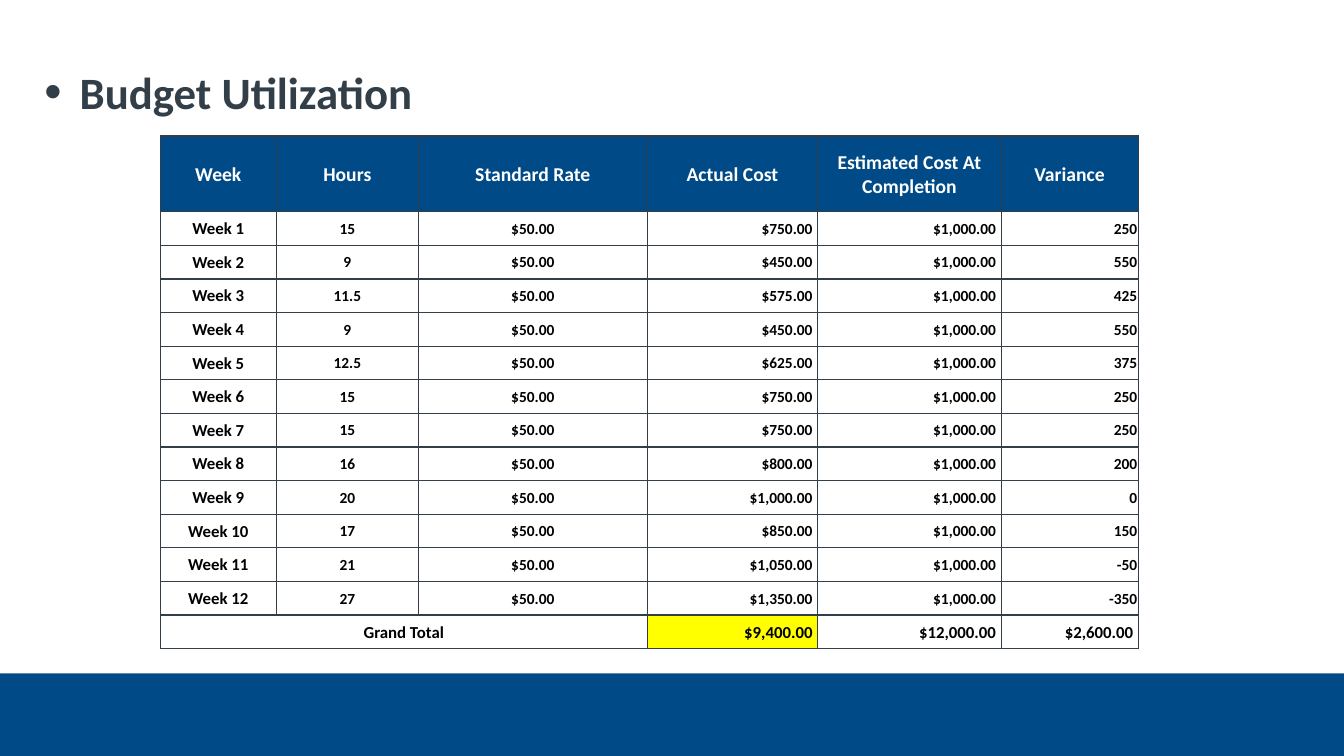
"""Build the Budget Utilization slide with its weekly cost table."""
from lxml import etree
from pptx import Presentation
from pptx.dml.color import RGBColor
from pptx.enum.shapes import MSO_SHAPE
from pptx.enum.text import MSO_ANCHOR, PP_ALIGN
from pptx.oxml.ns import qn
from pptx.util import Inches, Pt

RECT = MSO_SHAPE.RECTANGLE
MIDDLE = MSO_ANCHOR.MIDDLE
CENTER, RIGHT = PP_ALIGN.CENTER, PP_ALIGN.RIGHT
BLUE = RGBColor(0x00, 0x4B, 0x87)
SLATE = RGBColor(0x33, 0x3F, 0x48)
WHITE = RGBColor(0xFF, 0xFF, 0xFF)
BLACK = RGBColor(0x00, 0x00, 0x00)
YELLOW = RGBColor(0xFF, 0xFF, 0x00)

RATE = 50
WEEKLY_BUDGET = 1000
HOURS = [15, 9, 11.5, 9, 12.5, 15, 15, 16, 20, 17, 21, 27]
HEADERS = ["Week", "Hours", "Standard Rate", "Actual Cost",
           "Estimated Cost At Completion", "Variance"]
COL_WIDTHS = [1.15, 1.41, 2.27, 1.69, 1.82, 1.36]
TABLE_HEIGHT, HEADER_HEIGHT = 5.09, 0.75


def money(amount):
    return f"${amount:,.2f}"


def set_font(font, size, color):
    font.color.rgb = color
    for name, value in {"name": "Calibri", "size": Pt(size), "bold": True}.items():
        setattr(font, name, value)


prs = Presentation()
prs.slide_width, prs.slide_height = Inches(13.33), Inches(7.5)
s = prs.slides.add_slide(prs.slide_layouts[6])

footer = s.shapes.add_shape(RECT, 0, Inches(6.68), prs.slide_width, Inches(0.82))
footer.shadow.inherit = False
footer.fill.solid()
footer.fill.fore_color.rgb = BLUE
footer.line.fill.background()

title = s.shapes.add_textbox(Inches(0.44), Inches(0.64), Inches(11.99), Inches(0.82))
tf = title.text_frame
tf.word_wrap = True
for side in ("left", "top", "right", "bottom"):
    setattr(tf, f"margin_{side}", 0)
p = tf.paragraphs[0]
pPr = p._p.get_or_add_pPr()
pPr.set("marL", str(Inches(0.35)))
pPr.set("indent", str(Inches(-0.35)))
etree.SubElement(pPr, qn("a:buSzPct"), val="110000")
etree.SubElement(pPr, qn("a:buFont"), typeface="Arial")
etree.SubElement(pPr, qn("a:buChar"), char="•")
r = p.add_run()
r.text = "Budget Utilization"
set_font(r.font, 32, SLATE)

rows = [HEADERS]
for week, hours in enumerate(HOURS, 1):
    cost = hours * RATE
    rows.append([f"Week {week}", f"{hours:g}", money(RATE), money(cost),
                 money(WEEKLY_BUDGET), f"{WEEKLY_BUDGET - cost:g}"])
total_cost = sum(HOURS) * RATE
total_budget = WEEKLY_BUDGET * len(HOURS)
rows.append(["Grand Total", "", "", money(total_cost), money(total_budget),
             money(total_budget - total_cost)])
last = len(rows) - 1

frame = s.shapes.add_table(len(rows), len(HEADERS), Inches(1.59), Inches(1.35),
                           Inches(sum(COL_WIDTHS)), Inches(TABLE_HEIGHT))
table = frame.table
table.first_row = table.horz_banding = False
for column, width in zip(table.columns, COL_WIDTHS):
    column.width = Inches(width)
for i, row in enumerate(table.rows):
    row.height = Inches((TABLE_HEIGHT - HEADER_HEIGHT) / last if i else HEADER_HEIGHT)
table.cell(last, 0).merge(table.cell(last, 2))

for i, texts in enumerate(rows):
    for j, text in enumerate(texts):
        cell = table.cell(i, j)
        is_amount = i > 0 and j > 2
        margin_right = 0.05 if is_amount and text.startswith("$") else 0.01
        layout = {"vertical_anchor": MIDDLE, "margin_left": Inches(0.01),
                  "margin_top": Inches(0.01), "margin_right": Inches(margin_right),
                  "margin_bottom": 0}
        for name, value in layout.items():
            setattr(cell, name, value)

        tcPr = cell._tc.get_or_add_tcPr()
        for edge in ("a:lnL", "a:lnR", "a:lnT", "a:lnB"):
            ln = etree.SubElement(tcPr, qn(edge), w=str(Pt(1)))
            fill = etree.SubElement(ln, qn("a:solidFill"))
            etree.SubElement(fill, qn("a:srgbClr"), val=str(SLATE))

        if i == 0 or (i, j) == (last, 3):
            cell.fill.solid()
            cell.fill.fore_color.rgb = YELLOW if i else BLUE
        else:
            cell.fill.background()

        if text:
            p = cell.text_frame.paragraphs[0]
            p.alignment = RIGHT if is_amount else CENTER
            r = p.add_run()
            r.text = text
            size = 14 if i == 0 else 12 if j == 0 or i == last else 11
            set_font(r.font, size, BLACK if i else WHITE)

prs.save("out.pptx")
